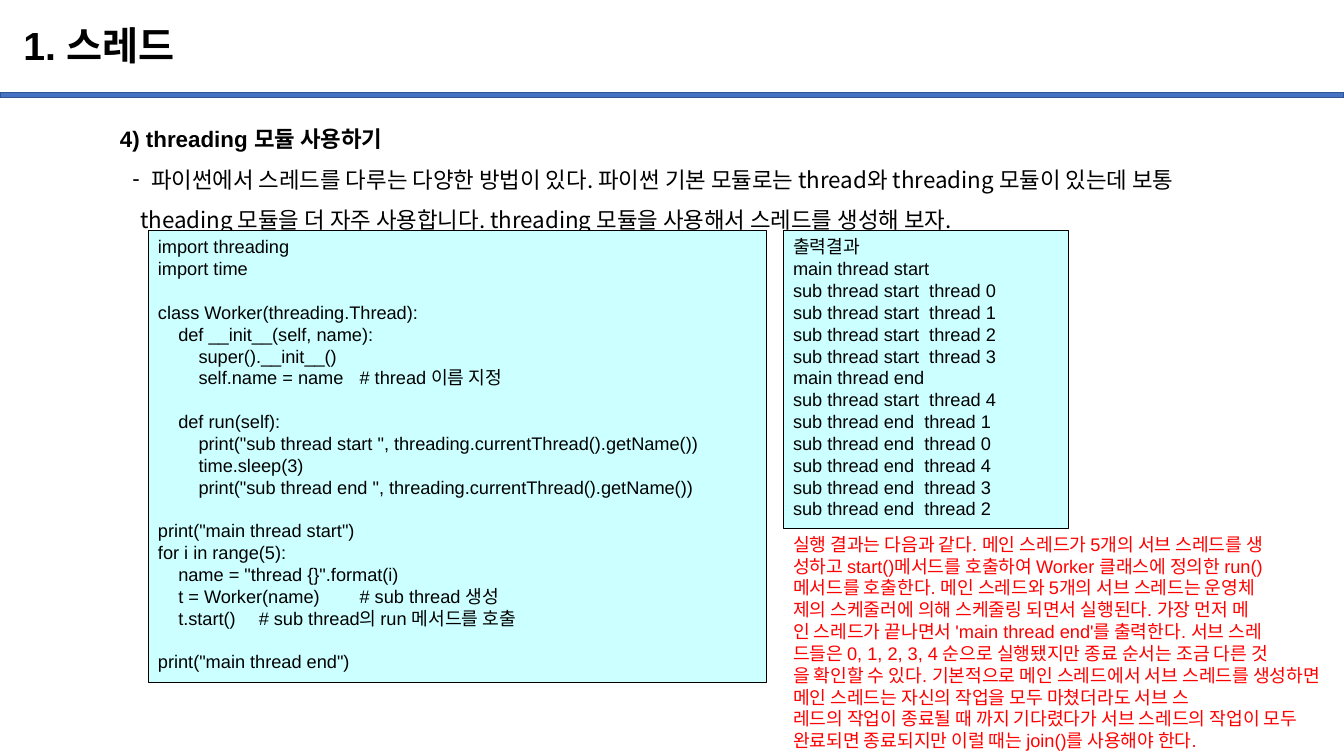
import dataclasses
import typing

import lxml.etree
import pptx
import pptx.dml.color
import pptx.enum.shapes
import pptx.enum.text
import pptx.oxml.ns
import pptx.util

Pt = pptx.util.Pt


@dataclasses.dataclass(frozen=True)
class Theme:
    ink: str = "000000"
    note: str = "FF0000"
    panel: str = "CCFFFF"
    bar: str = "4472C4"
    bar_edge: str = "325491"
    latin: str = "Arial"
    korean: str = "Noto Sans CJK KR"
    title_size: float = 28
    body_size: float = 16
    code_size: float = 13
    body_pitch: float = 28.8
    code_pitch: float = 15.6
    indent_step: float = 14.5


@dataclasses.dataclass
class SlideBuilder:
    theme: Theme
    slide: typing.Any

    def place(self, shape, left, top, width, height):
        shape.left, shape.top = Pt(left), Pt(top)
        shape.width, shape.height = Pt(width), Pt(height)

    def paragraph(self, frame, index, pitch, before=0):
        line = frame.add_paragraph() if index else frame.paragraphs[0]
        line.alignment = pptx.enum.text.PP_ALIGN.LEFT
        line.line_spacing = pitch
        line.space_before = Pt(before)
        line.space_after = Pt(0)
        return line

    def indent(self, line, margin, first):
        properties = line._p.get_or_add_pPr()
        properties.set("marL", str(Pt(margin)))
        properties.set("indent", str(Pt(first)))
        return properties

    def child(self, parent, tag, **attributes):
        return lxml.etree.SubElement(parent, pptx.oxml.ns.qn(tag), attributes)

    def run(self, line, words, size, color, bold=False, font=None):
        piece = line.add_run()
        piece.text = words
        piece.font.size = Pt(size)
        piece.font.bold = bold
        piece.font.name = font or self.theme.latin
        piece.font.color.rgb = pptx.dml.color.RGBColor.from_string(color)

    def title(self, words, *area):
        heading = self.slide.shapes.title
        self.place(heading, *area)
        frame = heading.text_frame
        frame.vertical_anchor = pptx.enum.text.MSO_ANCHOR.MIDDLE
        frame.auto_size = pptx.enum.text.MSO_AUTO_SIZE.NONE
        line = self.paragraph(frame, 0, 0.9)
        self.run(line, words, self.theme.title_size, self.theme.ink, True)

    def body(self, items, *area):
        topic = self.slide.placeholders[1]
        self.place(topic, *area)
        frame = topic.text_frame
        frame.auto_size = pptx.enum.text.MSO_AUTO_SIZE.NONE
        for index, (words, bold, font, margin, first, dash) in enumerate(items):
            line = self.paragraph(frame, index, Pt(self.theme.body_pitch))
            properties = self.indent(line, margin, first)
            if dash:
                self.child(properties, "a:buFont", typeface=self.theme.latin)
                self.child(properties, "a:buChar", char=dash)
            else:
                self.child(properties, "a:buNone")
            self.run(line, words, self.theme.body_size, self.theme.ink, bold, font)

    def rectangle(self, fill, edge, weight, *area):
        box = self.slide.shapes.add_shape(
            pptx.enum.shapes.MSO_SHAPE.RECTANGLE, *map(Pt, area))
        box.shadow.inherit = False
        box.fill.solid()
        box.fill.fore_color.rgb = pptx.dml.color.RGBColor.from_string(fill)
        box.line.color.rgb = pptx.dml.color.RGBColor.from_string(edge)
        box.line.width = Pt(weight)
        return box

    def write_lines(self, frame, lines, color):
        theme = self.theme
        frame.word_wrap = True
        frame.vertical_anchor = pptx.enum.text.MSO_ANCHOR.TOP
        for index, (words, level, gap, comment, stop) in enumerate(lines):
            line = self.paragraph(frame, index, Pt(theme.code_pitch),
                                  gap * theme.code_pitch)
            properties = self.indent(line, 0, level * theme.indent_step)
            self.run(line, words, theme.code_size, color)
            if comment:
                stops = self.child(properties, "a:tabLst")
                self.child(stops, "a:tab", pos=str(Pt(stop)), algn="l")
                self.run(line, "\t" + comment, theme.code_size, color)

    def panel(self, lines, *area):
        box = self.rectangle(self.theme.panel, self.theme.ink, 0.75, *area)
        self.write_lines(box.text_frame, lines, self.theme.ink)

    def note(self, lines, *area):
        box = self.slide.shapes.add_textbox(*map(Pt, area))
        self.write_lines(box.text_frame, lines, self.theme.note)


def entry(words, level=0, gap=0, comment="", stop=0):
    return words, level, gap, comment, stop


WORKER_CODE = [
    entry("import threading"),
    entry("import time"),
    entry("class Worker(threading.Thread):", gap=1),
    entry("def __init__(self, name):", 1),
    entry("super().__init__()", 2),
    entry("self.name = name", 2, comment="# thread 이름 지정", stop=175.7),
    entry("def run(self):", 1, gap=1),
    entry('print("sub thread start ", threading.currentThread().getName())', 2),
    entry("time.sleep(3)", 2),
    entry('print("sub thread end ", threading.currentThread().getName())', 2),
    entry('print("main thread start")', gap=1),
    entry("for i in range(5):"),
    entry('name = "thread {}".format(i)', 1),
    entry("t = Worker(name)", 1, comment="# sub thread 생성", stop=180),
    entry("t.start()", 1, comment="# sub thread의 run 메서드를 호출", stop=180),
    entry('print("main thread end")', gap=1),
]

OUTPUT = (
    ["출력결과", "main thread start"]
    + [f"sub thread start  thread {number}" for number in range(4)]
    + ["main thread end", "sub thread start  thread 4"]
    + [f"sub thread end  thread {number}" for number in (1, 0, 4, 3, 2)]
)

EXPLANATION = [
    "실행 결과는 다음과 같다. 메인 스레드가 5개의 서브 스레드를 생",
    "성하고 start()메서드를 호출하여 Worker 클래스에 정의한 run() 메서드를 호출한다. 메인 스레드와 5개의 서브 스레드는 운영체",
    "제의 스케줄러에 의해 스케줄링 되면서 실행된다. 가장 먼저 메",
    "인 스레드가 끝나면서 'main thread end'를 출력한다. 서브 스레",
    "드들은 0, 1, 2, 3, 4 순으로 실행됐지만 종료 순서는 조금 다른 것",
    "을 확인할 수 있다. 기본적으로 메인 스레드에서 서브 스레드를 생성하면 메인 스레드는 자신의 작업을 모두 마쳤더라도 서브 스",
    "레드의 작업이 종료될 때 까지 기다렸다가 서브 스레드의 작업이 모두 완료되면 종료되지만 이럴 때는 join()를 사용해야 한다.",
]


def main():
    theme = Theme()
    deck = pptx.Presentation()
    deck.slide_width, deck.slide_height = Pt(960), Pt(540)
    builder = SlideBuilder(theme, deck.slides.add_slide(deck.slide_layouts[1]))

    builder.rectangle(theme.bar, theme.bar_edge, 1, 0, 66.2, 960, 3.6)
    builder.title("1. 스레드", 9.4, 7.2, 828, 53.3)
    builder.body([
        ("4) threading 모듈 사용하기", True, theme.latin, 0, 0, ""),
        ("파이썬에서 스레드를 다루는 다양한 방법이 있다. 파이썬 기본 모듈로는 thread와 threading 모듈이 있는데 보통",
         False, theme.korean, 22.2, -13.3, "-"),
        ("theading 모듈을 더 자주 사용합니다. threading 모듈을 사용해서 스레드를 생성해 보자.",
         False, theme.korean, 14.4, 0, ""),
    ], 78.5, 76.3, 843.8, 119.5)

    panel_top, result_left, output_height = 164.9, 559.4, 212.4
    note_top = panel_top + output_height
    builder.panel(WORKER_CODE, 105.8, panel_top, 442.1, 322.6)
    builder.panel(map(entry, OUTPUT), result_left, panel_top, 203.8, output_height)
    builder.note(map(entry, EXPLANATION), result_left, note_top, 391, 540 - note_top)
    deck.save("out.pptx")


if __name__ == "__main__":
    main()
